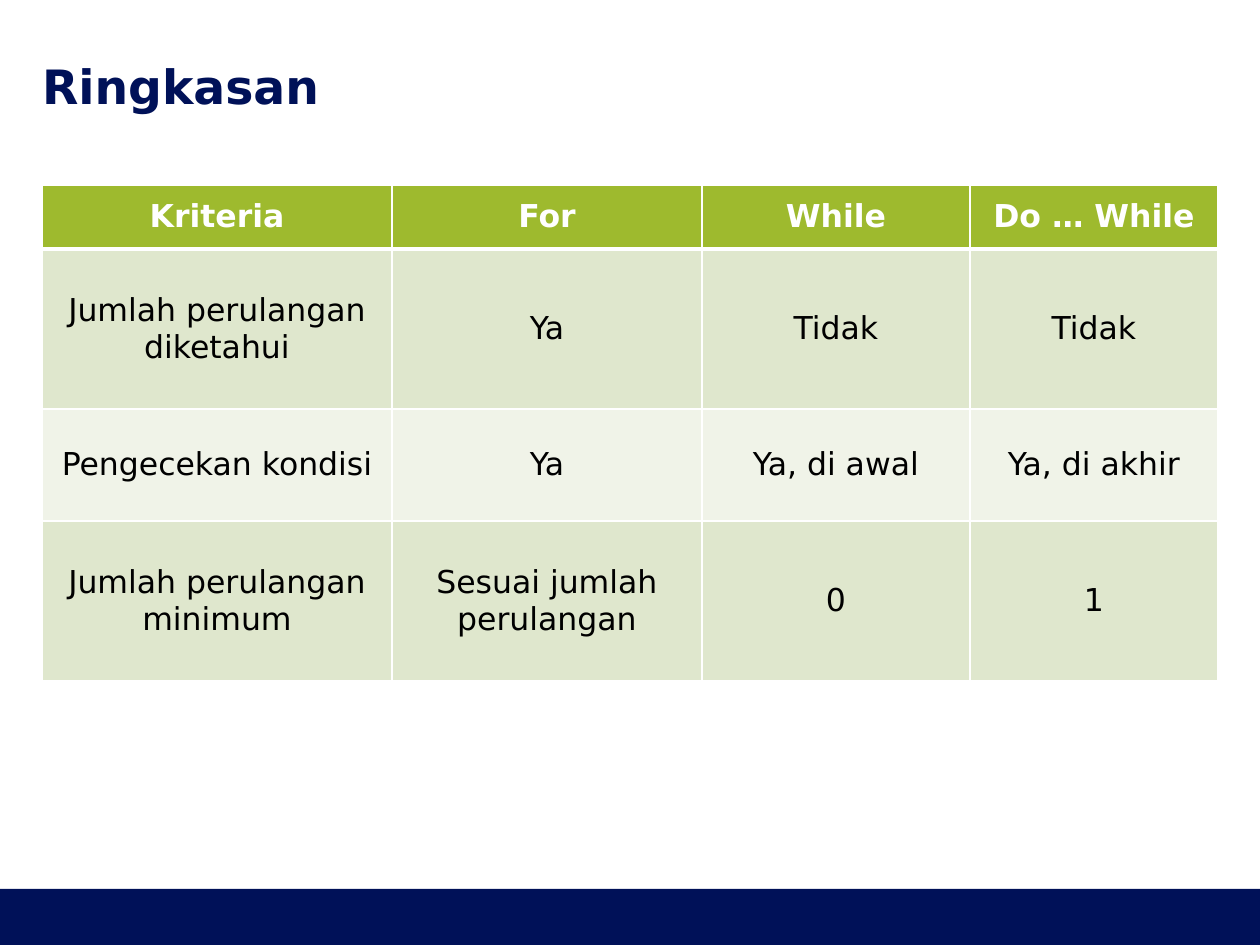
import pptx
import pptx.util
import pptx.dml.color
import pptx.enum.shapes
import pptx.enum.text
import pptx.oxml

SCALE = 914400 / 126
FONT = "DejaVu Sans"
COLORS = {
    "navy": "001158",
    "green": "9EBA2E",
    "band_dark": "DFE7CD",
    "band_light": "F0F3E8",
    "white": "FFFFFF",
    "black": "000000",
}
COL_WIDTHS = [350, 310, 268, 248]
ROW_HEIGHTS = [64, 160, 112, 160]
ROWS = [
    ["Kriteria", "For", "While", "Do … While"],
    ["Jumlah perulangan diketahui", "Ya", "Tidak", "Tidak"],
    ["Pengecekan kondisi", "Ya", "Ya, di awal", "Ya, di akhir"],
    ["Jumlah perulangan minimum", "Sesuai jumlah perulangan", "0", "1"],
]


def px(n):
    return pptx.util.Emu(round(n * SCALE))


def rgb(name):
    return pptx.dml.color.RGBColor.from_string(COLORS[name])


def add_run(p, text, size, color, bold):
    r = p.add_run()
    r.text = text
    r.font.name = FONT
    r.font.size = pptx.util.Pt(size)
    r.font.bold = bold
    r.font.color.rgb = rgb(color)


def set_margins(obj, x, y):
    obj.margin_left = obj.margin_right = px(x)
    obj.margin_top = obj.margin_bottom = px(y)


def add_border(cell, side, points):
    ln = pptx.oxml.parse_xml(
        f'<a:ln{side} xmlns:a="http://schemas.openxmlformats.org/drawingml/2006/main" '
        f'w="{pptx.util.Pt(points)}"><a:solidFill><a:srgbClr val="{COLORS["white"]}"/>'
        f'</a:solidFill></a:ln{side}>'
    )
    cell._tc.get_or_add_tcPr().append(ln)


def add_footer(s, x, y, w, h):
    sp = s.shapes.add_shape(
        pptx.enum.shapes.MSO_SHAPE.RECTANGLE, px(x), px(y), px(w), px(h))
    sp.shadow.inherit = False
    sp.fill.solid()
    sp.fill.fore_color.rgb = rgb("navy")
    sp.line.fill.background()


def add_title(s, x, y, w, h):
    tf = s.shapes.add_textbox(px(x), px(y), px(w), px(h)).text_frame
    tf.word_wrap = True
    tf.vertical_anchor = pptx.enum.text.MSO_ANCHOR.MIDDLE
    set_margins(tf, 0, 0)
    add_run(tf.paragraphs[0], "Ringkasan", 27, "navy", True)


def fill_cell(cell, text, row):
    header = row == 0
    for side in "LRTB":
        thick = (header and side == "B") or (row == 1 and side == "T")
        add_border(cell, side, 3 if thick else 1)
    cell.fill.solid()
    band = "band_dark" if row % 2 else "band_light"
    cell.fill.fore_color.rgb = rgb("green" if header else band)
    cell.vertical_anchor = pptx.enum.text.MSO_ANCHOR.MIDDLE
    set_margins(cell, 12, 6)
    p = cell.text_frame.paragraphs[0]
    p.alignment = pptx.enum.text.PP_ALIGN.CENTER
    add_run(p, text, 18, "white" if header else "black", header)


def add_summary_table(s, x, y):
    table = s.shapes.add_table(
        len(ROWS), len(COL_WIDTHS), px(x), px(y),
        px(sum(COL_WIDTHS)), px(sum(ROW_HEIGHTS))).table
    for col, width in zip(table.columns, COL_WIDTHS):
        col.width = px(width)
    for row, height in zip(table.rows, ROW_HEIGHTS):
        row.height = px(height)
    for i, texts in enumerate(ROWS):
        for j, text in enumerate(texts):
            fill_cell(table.cell(i, j), text, i)


def main():
    prs = pptx.Presentation()
    prs.slide_width, prs.slide_height = px(1260), px(945)
    s = prs.slides.add_slide(prs.slide_layouts[6])
    add_footer(s, 0, 889, 1260, 56)
    add_title(s, 42, 56, 1176, 60)
    add_summary_table(s, 42, 185)
    prs.save("out.pptx")


if __name__ == "__main__":
    main()
